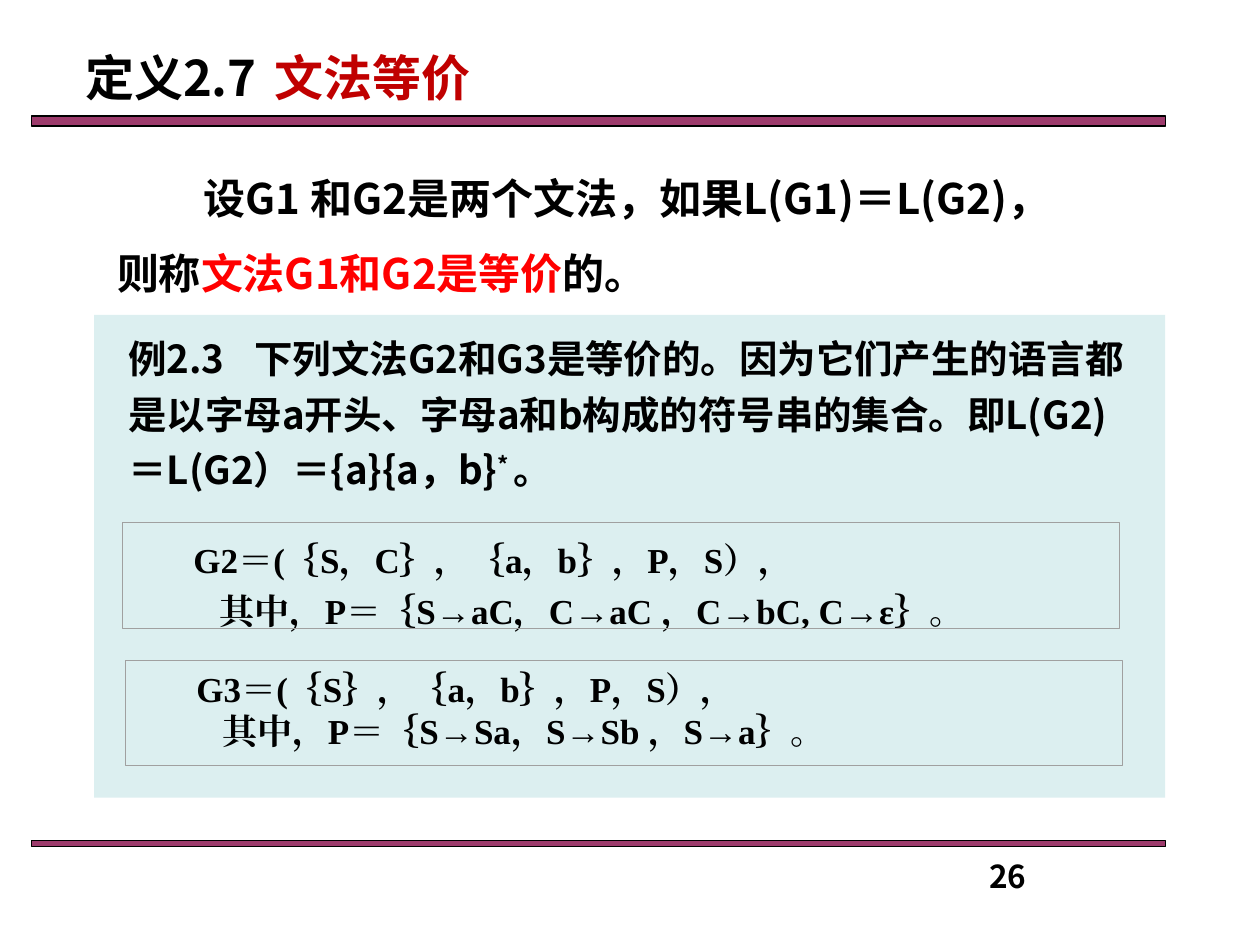
from lxml.etree import SubElement as Sub
from pptx import Presentation
from pptx.dml.color import RGBColor as Rgb
from pptx.enum.shapes import MSO_SHAPE as Shape
from pptx.enum.text import PP_ALIGN as Align
from pptx.oxml.ns import qn
from pptx.util import Cm, Pt

SANS = "Noto Sans CJK SC"
SERIF = "Times New Roman"
HUES = {
    "ink": "000000",
    "plum": "993366",
    "dark": "C00000",
    "red": "FF0000",
    "pale": "BBE0E3",
    "grey": "A0A0A0",
}


def hue(name):
    return Rgb.from_string(HUES[name])


def add_rect(slide, box, fill=None, alpha=100, line=None, width=0.75):
    rect = slide.shapes.add_shape(Shape.RECTANGLE, *map(Cm, box))
    rect.shadow.inherit = False
    if fill:
        rect.fill.solid()
        rect.fill.fore_color.rgb = hue(fill)
        tone = rect.fill._xPr.find(qn("a:solidFill"))[0]
        Sub(tone, qn("a:alpha"), val=str(alpha * 1000))
    else:
        rect.fill.background()
    if line:
        rect.line.color.rgb = hue(line)
        rect.line.width = Pt(width)
    else:
        rect.line.fill.background()


def add_run(para, text, size, face, color="ink", base=0):
    """Add a bold run; base raises it by a percentage."""
    run = para.add_run()
    run.text = text
    font = run.font
    font.size, font.bold, font.name = Pt(size), True, face
    font.color.rgb = hue(color)
    props = font._element
    Sub(props, qn("a:ea"), typeface=face)
    if base:
        props.set("baseline", str(base * 1000))


def add_text(slide, box, *paras, size=20, face=SANS, space=1.0,
             indents=(0,), tab=None, align=Align.LEFT):
    """Each paragraph is a list of (text, color, base) runs."""
    frame = slide.shapes.add_textbox(*map(Cm, box)).text_frame
    frame.word_wrap = True
    for i, (runs, indent) in enumerate(zip(paras, indents)):
        para = frame.paragraphs[0] if i == 0 else frame.add_paragraph()
        para.alignment = align
        para.line_spacing = space
        props = para._p.get_or_add_pPr()
        props.set("marL", "0")
        props.set("indent", str(Cm(indent)))
        if tab:
            stops = Sub(props, qn("a:tabLst"))
            Sub(stops, qn("a:tab"), pos=str(Cm(tab)), algn="l")
        for text, *look in runs:
            add_run(para, text, size, face, *look)


def add_grammar(slide, left, top, tuple_, rules, space):
    """A framed grammar: its tuple, then its rules set further in."""
    add_text(slide, (left + 0.45, top + 0.03, 19.2, 2.11),
             [(tuple_,)], [(rules,)], face=SERIF, space=space,
             indents=(0.74, 1.27), align=Align.JUSTIFY)
    add_rect(slide, (left, top, 20.1, 2.13), line="grey", width=0.5)


def main():
    deck = Presentation()
    deck.slide_width, deck.slide_height = Cm(25.4), Cm(19.05)
    slide = deck.slides.add_slide(deck.slide_layouts[6])

    for top, height in ((2.34, 0.2), (16.94, 0.13)):
        add_rect(slide, (0.64, top, 22.86, height), "plum", 96, "ink")
    add_rect(slide, (1.9, 6.35, 21.59, 9.73), "pale", 50)

    add_text(slide, (1.47, 0.84, 9.91, 1.45),
             [("定义2.7\t",), ("文法等价", "dark")], size=28, tab=4.4)
    add_text(slide, (2.11, 2.84, 19.89, 3.33),
             [("设G1 和G2是两个文法，如果L(G1)＝L(G2)，则称",),
              ("文法G1和G2是等价", "red"), ("的。",)],
             size=24, space=1.5, indents=(1.75,))
    add_text(slide, (2.34, 6.45, 20.78, 3.48),
             [("例2.3\t下列文法G2和G3是等价的。因为它们产生的语言"
               "都是以字母a开头、字母a和b构成的符号串的集合。即"
               "L(G2)＝L(G2）＝{a}{a，b}",),
              ("* ", "ink", 30), ("。",)],
             size=22, space=1.2, tab=2.7)

    add_grammar(slide, 2.46, 10.54, "G2＝(｛S，C｝，｛a，b｝，P，S），",
                "其中，P＝｛S→aC，C→aC ，C→bC, C→ε｝。", 1.2)
    add_grammar(slide, 2.52, 13.31, "G3＝(｛S｝，｛a，b｝，P，S），",
                "其中，P＝｛S→Sa，S→Sb ，S→a｝。", 1.0)
    add_text(slide, (19.69, 17.15, 5.71, 1.07), [("26",)], size=18)

    deck.save("out.pptx")


if __name__ == "__main__":
    main()
